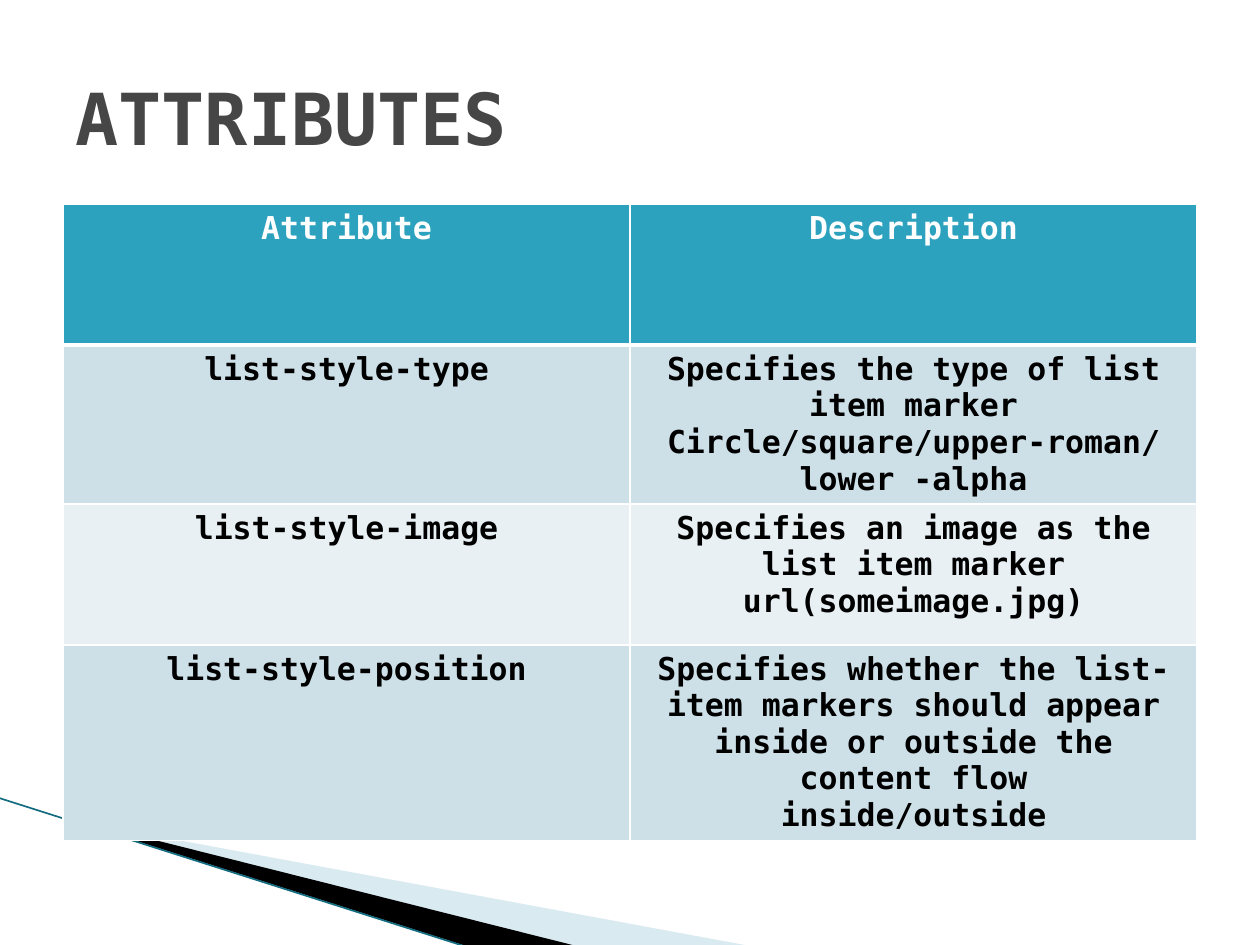
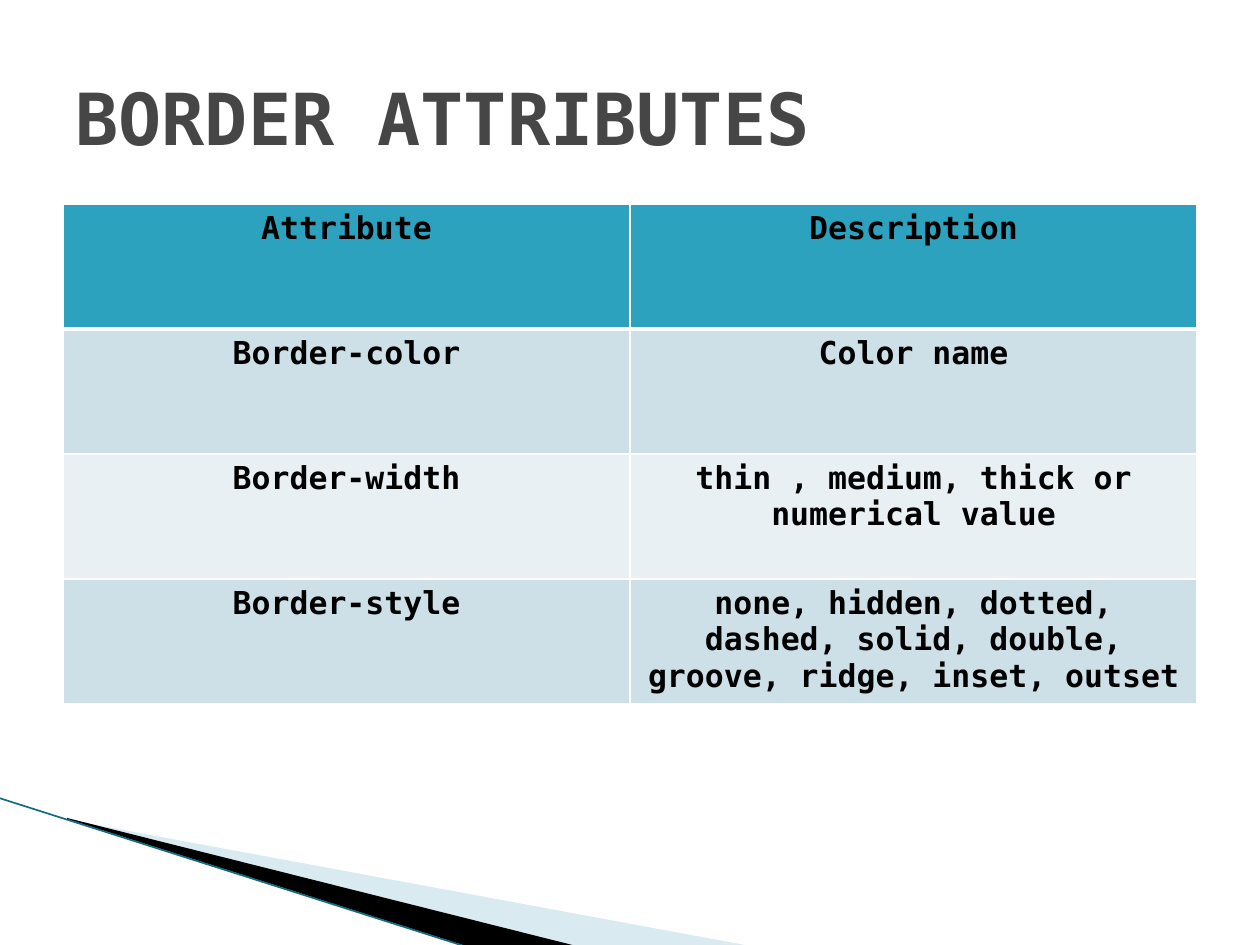
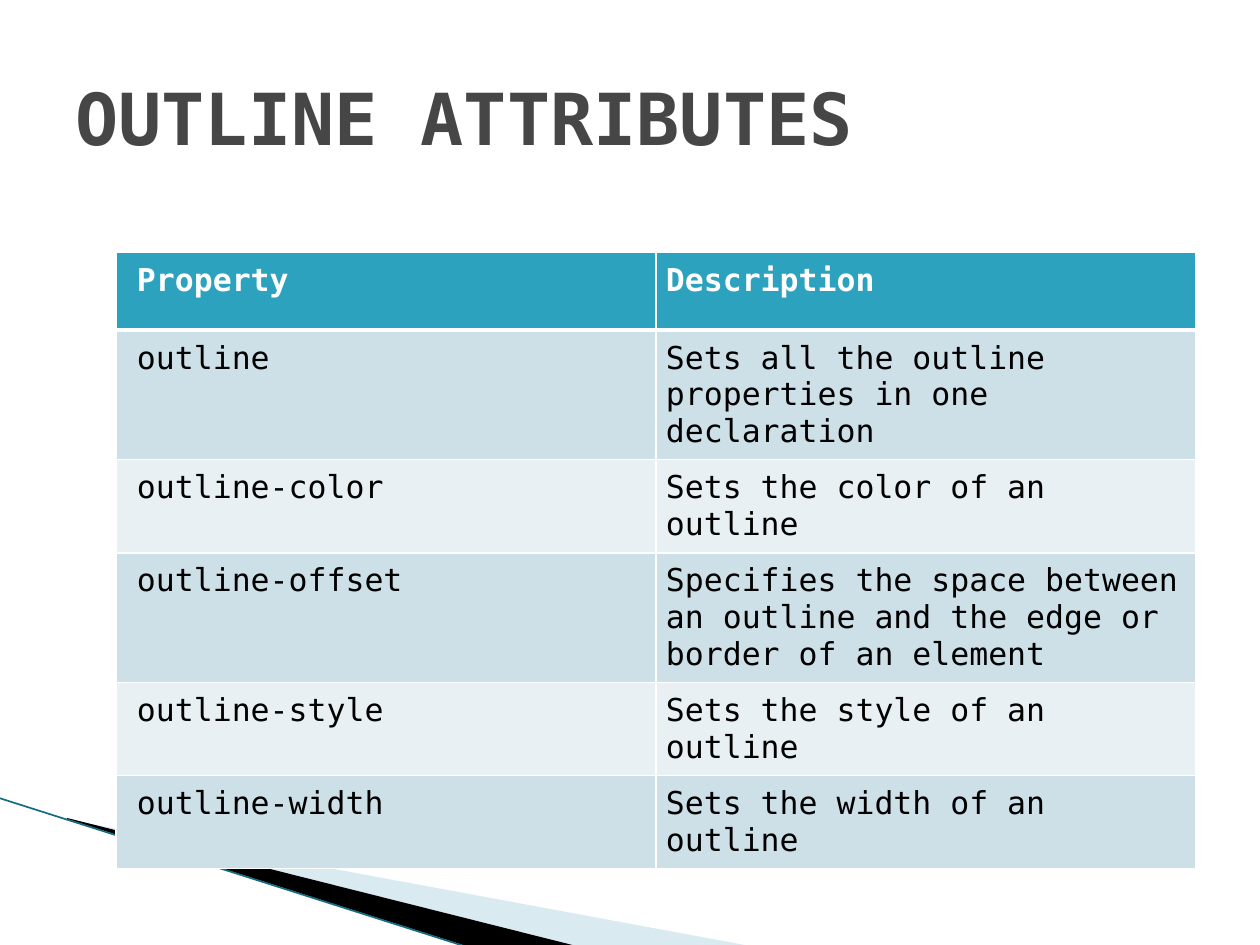
from dataclasses import dataclass

import lxml.etree
import pptx
import pptx.dml.color
import pptx.enum.shapes
import pptx.enum.text
import pptx.oxml.ns
import pptx.presentation
import pptx.slide
import pptx.table
import pptx.util

RGBColor = pptx.dml.color.RGBColor
Align = pptx.enum.text.PP_ALIGN
qn = pptx.oxml.ns.qn

EMU_PER_PX = 914400 / 126
FONT = "DejaVu Sans Mono"
WHITE = RGBColor(0xFF, 0xFF, 0xFF)
BLACK = RGBColor(0x00, 0x00, 0x00)
TITLE_GREY = RGBColor(0x46, 0x46, 0x46)
HEADER_TEAL = RGBColor(0x2D, 0xA2, 0xBF)
ODD_BAND = RGBColor(0xCD, 0xE0, 0xE8)
EVEN_BAND = RGBColor(0xE8, 0xF0, 0xF4)
PALE_WEDGE = RGBColor(0xA0, 0xCB, 0xDC)
EDGE_TEAL = RGBColor(0x14, 0x6C, 0x80)


@dataclass(frozen=True)
class Wedge:
    points: tuple[tuple[int, int], ...]
    color: RGBColor
    opacity: int = 100


@dataclass(frozen=True)
class AttributeTable:
    title: str
    left: int
    top: int
    column_width: int
    row_height: int
    height: int
    rows: tuple[tuple[str, str], ...]
    align: Align = Align.CENTER
    header_color: RGBColor = WHITE
    body_bold: bool = True
    left_margins: tuple[int, int] | None = None
    margin: int = 10


WEDGES = (
    Wedge(((69, 820), (750, 946), (575, 946), (69, 819)), PALE_WEDGE, 40),
    Wedge(((67, 818), (576, 946), (469, 947), (67, 819)), BLACK),
)

TABLES = (
    AttributeTable(
        "ATTRIBUTES", 63, 204, 567, 141, 609,
        (
            ("Attribute", "Description"),
            ("list-style-type",
             "Specifies the type of list item marker\nCircle/square/upper-roman/lower -alpha"),
            ("list-style-image",
             "Specifies an image as the list item marker\nurl(someimage.jpg)"),
            ("list-style-position",
             "Specifies whether the list-item markers should appear inside or outside "
             "the content flow\ninside/outside"),
        ),
    ),
    AttributeTable(
        "BORDER ATTRIBUTES", 63, 204, 567, 125, 500,
        (
            ("Attribute", "Description"),
            ("Border-color", "Color name"),
            ("Border-width", "thin , medium, thick or numerical value"),
            ("Border-style",
             "none, hidden, dotted, dashed, solid, double, groove, ridge, inset, outset"),
        ),
        header_color=BLACK,
    ),
    AttributeTable(
        "OUTLINE ATTRIBUTES", 116, 252, 540, 78, 546,
        (
            ("Property", "Description"),
            ("outline", "Sets all the outline properties in one declaration"),
            ("outline-color", "Sets the color of an outline"),
            ("outline-offset",
             "Specifies the space between an outline and the edge or border of an element"),
            ("outline-style", "Sets the style of an outline"),
            ("outline-width", "Sets the width of an outline"),
        ),
        align=Align.LEFT,
        body_bold=False,
        left_margins=(21, 10),
    ),
)


def px(length: int) -> pptx.util.Emu:
    return pptx.util.Emu(round(length * EMU_PER_PX))


def format_text(frame, size: int, color: RGBColor, bold: bool, align: Align) -> None:
    for paragraph in frame.paragraphs:
        paragraph.alignment = align
        for run in paragraph.runs:
            run.font.name = FONT
            run.font.size = pptx.util.Pt(size)
            run.font.bold = bold
            run.font.color.rgb = color


def draw_wedge(slide: pptx.slide.Slide, wedge: Wedge) -> None:
    start, *others = wedge.points
    builder = slide.shapes.build_freeform(*start, scale=EMU_PER_PX)
    builder.add_line_segments(others, close=True)
    shape = builder.convert_to_shape()
    shape.shadow.inherit = False
    shape.line.fill.background()
    shape.fill.solid()
    shape.fill.fore_color.rgb = wedge.color
    if wedge.opacity < 100:
        color = shape.fill._xPr.find(qn("a:solidFill"))[0]
        lxml.etree.SubElement(color, qn("a:alpha"), val=str(wedge.opacity * 1000))


def draw_corner(slide: pptx.slide.Slide) -> None:
    for wedge in WEDGES:
        draw_wedge(slide, wedge)
    edge = slide.shapes.add_connector(
        pptx.enum.shapes.MSO_CONNECTOR.STRAIGHT, px(-1), px(798), px(467), px(947)
    )
    edge.line.color.rgb = EDGE_TEAL
    edge.line.width = pptx.util.Pt(0.95)
    lxml.etree.SubElement(edge._element.spPr, qn("a:effectLst"))


def draw_title(slide: pptx.slide.Slide, title: str) -> None:
    frame = slide.shapes.add_textbox(px(63), px(38), px(1134), px(157)).text_frame
    frame.word_wrap = True
    frame.vertical_anchor = pptx.enum.text.MSO_ANCHOR.MIDDLE
    frame.text = title
    format_text(frame, 41, TITLE_GREY, True, Align.LEFT)


def draw_borders(cell: pptx.table._Cell, row: int) -> None:
    properties = cell._tc.get_or_add_tcPr()
    thick_side = {0: "lnB", 1: "lnT"}.get(row)
    for side in ("lnL", "lnR", "lnT", "lnB"):
        points = 3 if side == thick_side else 1
        line = lxml.etree.SubElement(properties, qn(f"a:{side}"), w=str(pptx.util.Pt(points)))
        fill = lxml.etree.SubElement(line, qn("a:solidFill"))
        lxml.etree.SubElement(fill, qn("a:srgbClr"), val=str(WHITE))


def fill_cell(cell: pptx.table._Cell, content: AttributeTable, row: int, column: int) -> None:
    is_header = row == 0
    draw_borders(cell, row)
    cell.fill.solid()
    band = ODD_BAND if row % 2 else EVEN_BAND
    cell.fill.fore_color.rgb = HEADER_TEAL if is_header else band
    if content.left_margins:
        cell.margin_left = px(content.left_margins[column])
        cell.margin_top = cell.margin_right = cell.margin_bottom = px(content.margin)
    cell.text_frame.text = content.rows[row][column]
    color = content.header_color if is_header else BLACK
    format_text(cell.text_frame, 18, color, is_header or content.body_bold, content.align)


def draw_table(slide: pptx.slide.Slide, content: AttributeTable) -> None:
    row_count = len(content.rows)
    frame = slide.shapes.add_table(
        row_count, 2, px(content.left), px(content.top),
        px(2 * content.column_width), px(row_count * content.row_height),
    )
    frame.height = px(content.height)
    for row in range(row_count):
        for column in range(2):
            fill_cell(frame.table.cell(row, column), content, row, column)


def build_slide(deck: pptx.presentation.Presentation, content: AttributeTable) -> None:
    slide = deck.slides.add_slide(deck.slide_layouts[6])
    draw_corner(slide)
    draw_table(slide, content)
    draw_title(slide, content.title)


def main() -> None:
    deck = pptx.Presentation()
    deck.slide_width, deck.slide_height = px(1260), px(945)
    for content in TABLES:
        build_slide(deck, content)
    deck.save("out.pptx")


if __name__ == "__main__":
    main()
